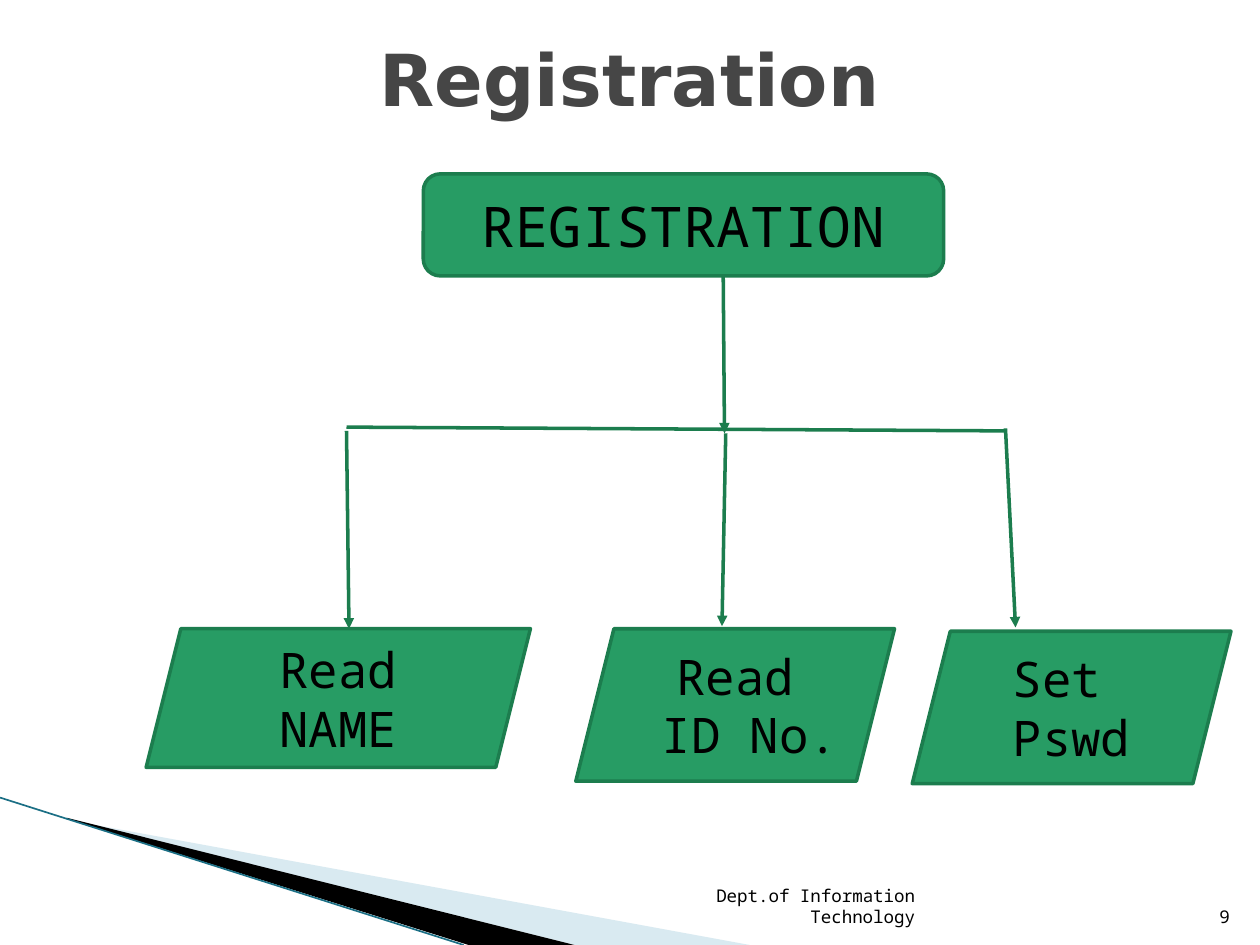
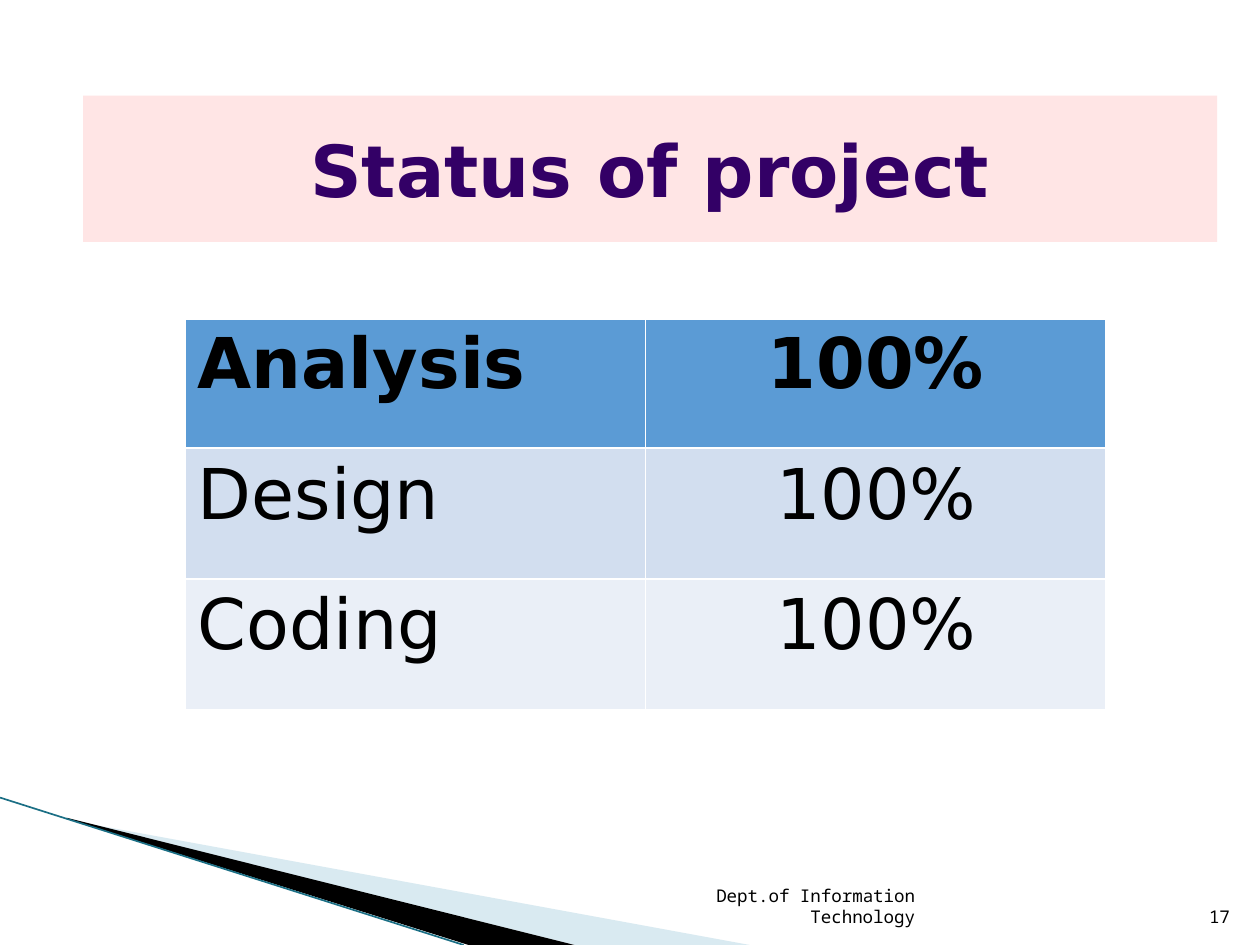
import pptx
import pptx.util
import pptx.dml.color
import pptx.enum.shapes
import pptx.enum.text
import pptx.oxml
import pptx.oxml.ns
from lxml import etree

RGBColor = pptx.dml.color.RGBColor
Shape = pptx.enum.shapes.MSO_SHAPE
Align = pptx.enum.text.PP_ALIGN
Anchor = pptx.enum.text.MSO_ANCHOR
qn = pptx.oxml.ns.qn

BLACK = RGBColor(0x00, 0x00, 0x00)
WHITE = RGBColor(0xFF, 0xFF, 0xFF)
GREY = RGBColor(0x46, 0x46, 0x46)
PURPLE = RGBColor(0x33, 0x00, 0x66)
PINK = RGBColor(0xFF, 0xE5, 0xE5)
GREEN = RGBColor(0x27, 0x9C, 0x64)
DARK_GREEN = RGBColor(0x1C, 0x7D, 0x4E)
PALE_BLUE = RGBColor(0xA0, 0xCB, 0xDC)
TEAL = RGBColor(0x1B, 0x6F, 0x85)
ROW_FILLS = [RGBColor(0x5B, 0x9B, 0xD5), RGBColor(0xD2, 0xDE, 0xEF), RGBColor(0xEA, 0xEF, 0xF7)]

SANS = "DejaVu Sans"
MONO = "Noto Sans Mono"
COLUMNS, ROWS = 100, 75
FOOTER = "Dept.of Information Technology"


class Deck:
    """Places elements on a grid of 100 columns by 75 rows."""

    def __init__(self):
        self.presentation = pptx.Presentation()
        self.presentation.slide_width = pptx.util.Inches(10)
        self.presentation.slide_height = pptx.util.Inches(7.5)
        self.slide = None

    def grid(self, *lengths):
        """Turn alternating column and row counts into slide lengths."""
        units = (self.presentation.slide_width / COLUMNS, self.presentation.slide_height / ROWS)
        return [round(length * units[i % 2]) for i, length in enumerate(lengths)]

    def new_slide(self, number):
        self.slide = self.presentation.slides.add_slide(self.presentation.slide_layouts[6])
        self.wedge([(5.5, 65.1), (59.5, 75), (45.6, 75), (5.5, 65)], PALE_BLUE, opacity=40)
        self.wedge([(5.3, 64.9), (45.6, 75), (37.2, 75), (5.4, 65)], BLACK)
        self.line((0, 63.3), (36.8, 75), TEAL, 0.95)
        self.footer_text(FOOTER, 47.9, 25.7)
        self.footer_text(str(number), 94.6, 4)

    def wedge(self, corners, color, opacity=100):
        points = [self.grid(*corner) for corner in corners]
        builder = self.slide.shapes.build_freeform(*points[0])
        builder.add_line_segments(points[1:], close=True)
        shape = builder.convert_to_shape()
        self.paint(shape, color)
        if opacity < 100:
            fill_color = shape._element.spPr.find(qn("a:solidFill"))[0]
            etree.SubElement(fill_color, qn("a:alpha"), val=str(opacity * 1000))

    def paint(self, shape, fill, outline=None):
        shape.shadow.inherit = False
        shape.fill.solid()
        shape.fill.fore_color.rgb = fill
        if outline is None:
            shape.line.fill.background()
        else:
            shape.line.color.rgb = outline
            shape.line.width = pptx.util.Pt(2)

    def line(self, start, end, color=DARK_GREEN, width=2, arrow=False):
        connector = self.slide.shapes.add_connector(
            pptx.enum.shapes.MSO_CONNECTOR.STRAIGHT, *self.grid(*start, *end))
        connector.line.color.rgb = color
        connector.line.width = pptx.util.Pt(width)
        properties = connector._element.spPr
        if arrow:
            etree.SubElement(properties.find(qn("a:ln")), qn("a:tailEnd"), type="triangle")
        etree.SubElement(properties, qn("a:effectLst"))

    def set_text(self, frame, lines, size, font, color=BLACK, align=Align.CENTER, bold=False):
        frame.word_wrap = True
        for i, text in enumerate(lines):
            paragraph = frame.paragraphs[0] if i == 0 else frame.add_paragraph()
            paragraph.text = text
            paragraph.alignment = align
            paragraph.font.size = pptx.util.Pt(size)
            paragraph.font.name = font
            paragraph.font.bold = bold
            paragraph.font.color.rgb = color

    def footer_text(self, text, left, width):
        box = self.slide.shapes.add_textbox(*self.grid(left, 70.1, width, 4))
        box.text_frame.vertical_anchor = Anchor.BOTTOM
        self.set_text(box.text_frame, [text], 10, MONO, align=Align.RIGHT)

    def title(self, text, place, color, band=None):
        box = self.slide.shapes.add_textbox(*self.grid(*place))
        if band is not None:
            box.fill.solid()
            box.fill.fore_color.rgb = band
        box.text_frame.vertical_anchor = Anchor.MIDDLE
        self.set_text(box.text_frame, [text], 41, SANS, color, bold=True)

    def node(self, kind, place, lines, size):
        shape = self.slide.shapes.add_shape(kind, *self.grid(*place))
        self.paint(shape, GREEN, DARK_GREEN)
        shape.text_frame.vertical_anchor = Anchor.MIDDLE
        self.set_text(shape.text_frame, lines, size, MONO)

    def table(self, place, rows):
        """Draw a table whose first row is the bold header."""
        table = self.slide.shapes.add_table(len(rows), len(rows[0]), *self.grid(*place)).table
        for r, row in enumerate(rows):
            for c, text in enumerate(row):
                cell = table.cell(r, c)
                self.border(cell, top=3 if r == 0 else 1)
                cell.fill.solid()
                cell.fill.fore_color.rgb = ROW_FILLS[r]
                self.set_text(cell.text_frame, [text], 40, SANS, bold=r == 0,
                              align=Align.CENTER if c else Align.LEFT)

    def border(self, cell, top):
        properties = cell._tc.get_or_add_tcPr()
        for side, width in (("L", 1), ("R", 1), ("T", top), ("B", 1)):
            edge = etree.SubElement(properties, qn(f"a:ln{side}"), w=str(int(pptx.util.Pt(width))))
            fill = etree.SubElement(edge, qn("a:solidFill"))
            etree.SubElement(fill, qn("a:srgbClr"), val=str(WHITE))


def registration_slide(deck):
    deck.new_slide(9)
    deck.title("Registration", (5, 0, 90, 12.4), GREY)
    deck.node(Shape.ROUNDED_RECTANGLE, (33.6, 13.8, 41.3, 8.1), ["REGISTRATION"], 32)
    deck.line((27.5, 33.9), (79.7, 34.2))
    arrows = [
        ((57.4, 21.9), (57.5, 34.4)),
        ((27.5, 34.2), (27.7, 49.9)),
        ((57.6, 34.4), (57.3, 49.7)),
        ((79.8, 34), (80.6, 49.8)),
    ]
    for start, end in arrows:
        deck.line(start, end, arrow=True)
    inputs = [
        ((11.6, 49.9, 30.5, 11), ["Read", "NAME"]),
        ((45.7, 49.9, 25.3, 12.1), ["Read", " ID No."]),
        ((72.4, 50.1, 25.3, 12.1), ["Set ", "Pswd"]),
    ]
    for place, lines in inputs:
        deck.node(Shape.PARALLELOGRAM, place, lines, 28)


def status_slide(deck):
    deck.new_slide(17)
    deck.title("Status of project", (6.6, 7.6, 90, 11.6), PURPLE, band=PINK)
    stages = ["Analysis", "Design", "Coding"]
    deck.table((14.7, 25.2, 73.1, 31.1), [(stage, "100%") for stage in stages])


def main():
    deck = Deck()
    registration_slide(deck)
    status_slide(deck)
    deck.presentation.save("out.pptx")


if __name__ == "__main__":
    main()
